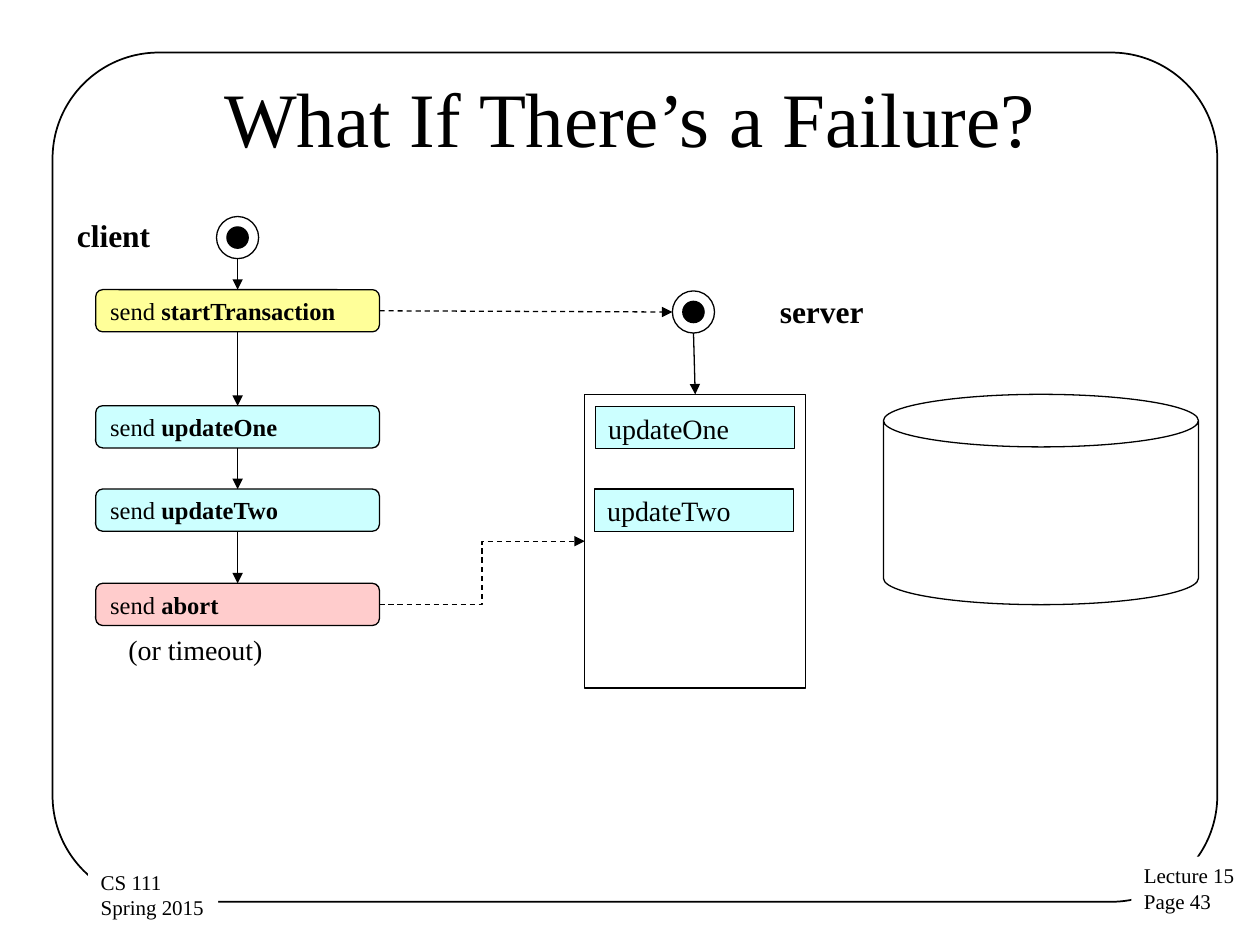
from itertools import pairwise

from lxml import etree
from pptx import Presentation
from pptx import util as u
from pptx.dml.color import RGBColor
from pptx.enum import dml, shapes, text
from pptx.oxml.ns import qn

COLORS = {
    "ink": "000000",
    "paper": "FFFFFF",
    "start": "FFFF99",
    "update": "CCFFFF",
    "abort": "FFCCCC",
}
SHAPE = shapes.MSO_SHAPE
TOP, LEFT, BOTTOM, RIGHT = range(4)


class Diagram:
    """Holds the style and the current slide."""

    font = "Times New Roman"
    ring_size = 0.85
    dot_size = 0.43

    def __init__(self, page):
        self.page = page

    def color(self, name):
        return RGBColor.from_string(COLORS[name])

    def fill_text(self, box, paragraphs, size, anchor, align=text.PP_ALIGN.LEFT, wrap=True):
        """Each paragraph is a list of (words, bold) spans."""
        frame = box.text_frame
        frame.word_wrap = wrap
        frame.vertical_anchor = anchor
        for index, spans in enumerate(paragraphs):
            para = frame.add_paragraph() if index else frame.paragraphs[0]
            para.alignment = align
            for words, bold in spans:
                span = para.add_run()
                span.text = words
                span.font.name = self.font
                span.font.size = u.Pt(size)
                span.font.bold = bold
                span.font.color.rgb = self.color("ink")

    def shape(self, kind, left, top, width, height, fill=None, line=0.75):
        box = self.page.shapes.add_shape(
            kind, u.Cm(left), u.Cm(top), u.Cm(width), u.Cm(height))
        box.shadow.inherit = False
        if fill:
            box.fill.solid()
            box.fill.fore_color.rgb = self.color(fill)
        else:
            box.fill.background()
        if line:
            box.line.color.rgb = self.color("ink")
            box.line.width = u.Pt(line)
        else:
            box.line.fill.background()
        return box

    def node(self, kind, left, top, width, fill, spans, size):
        box = self.shape(kind, left, top, width, 0.85, fill)
        self.fill_text(box, [spans], size, text.MSO_ANCHOR.MIDDLE)
        return box

    def label(self, left, top, width, height, words, size, bold=False, wrap=False):
        box = self.page.shapes.add_textbox(
            u.Cm(left), u.Cm(top), u.Cm(width), u.Cm(height))
        self.fill_text(box, [[(words, bold)]], size, text.MSO_ANCHOR.TOP, wrap=wrap)

    def title(self, words):
        box = self.page.shapes.add_textbox(
            u.Cm(1.27), u.Cm(0.76), u.Cm(22.86), u.Cm(3.18))
        self.fill_text(box, [[(words, False)]], 44, text.MSO_ANCHOR.MIDDLE,
                       text.PP_ALIGN.CENTER)

    def footer(self, left, top, width, lines):
        box = self.shape(SHAPE.RECTANGLE, left, top, width, 1.3, "paper", line=None)
        self.fill_text(box, [[(line, False)] for line in lines], 12,
                       text.MSO_ANCHOR.TOP, wrap=False)

    def entry_point(self, x, y):
        for size, fill in ((self.ring_size, None), (self.dot_size, "ink")):
            self.shape(SHAPE.OVAL, x - size / 2, y - size / 2, size, size, fill)

    def arrow(self, begin, end, dashed=False, bent=False):
        """Ends are either an (x, y) point or a (box, side) pair."""
        kind = shapes.MSO_CONNECTOR.ELBOW if bent else shapes.MSO_CONNECTOR.STRAIGHT
        joined = [not isinstance(tip[0], (int, float)) for tip in (begin, end)]
        points = [(0, 0) if join else tip for join, tip in zip(joined, (begin, end))]
        line = self.page.shapes.add_connector(
            kind, *(u.Cm(value) for point in points for value in point))
        if joined[0]:
            line.begin_connect(*begin)
        if joined[1]:
            line.end_connect(*end)
        line.line.color.rgb = self.color("ink")
        line.line.width = u.Pt(0.75)
        if dashed:
            line.line.dash_style = dml.MSO_LINE.DASH
        properties = line._element.spPr
        etree.SubElement(properties.find(qn("a:ln")), qn("a:tailEnd"), type="triangle")
        etree.SubElement(properties, qn("a:effectLst"))


def main():
    deck = Presentation()
    deck.slide_width, deck.slide_height = u.Cm(25.4), u.Cm(19.05)
    diagram = Diagram(deck.slides.add_slide(deck.slide_layouts[6]))

    # Page frame, footers and title
    frame = diagram.shape(SHAPE.ROUNDED_RECTANGLE, 1.06, 1.06, 23.48, 17.12, line=1)
    frame.adjustments[0] = 0.125
    diagram.footer(22.81, 17.27, 2.36, ["Lecture 15", "Page 43"])
    diagram.footer(1.78, 17.4, 2.62, ["CS 111", "Spring 2015"])
    diagram.title("What If There’s a Failure?")

    # Client steps
    client_x, client_y = 4.79, 4.79
    diagram.label(1.3, 4.24, 2.01, 1.02, "client", 18, bold=True)
    diagram.entry_point(client_x, client_y)
    steps = [
        diagram.node(SHAPE.ROUNDED_RECTANGLE, 1.93, top, 5.72, fill,
                     [("send ", False), (action, True)], 14)
        for top, fill, action in (
            (5.84, "start", "startTransaction"),
            (8.18, "update", "updateOne"),
            (9.86, "update", "updateTwo"),
            (11.76, "abort", "abort"),
        )
    ]
    diagram.label(2.34, 12.62, 4.88, 0.94, "(or timeout)", 16, wrap=True)

    # Server with its pending updates, and the storage
    server_x, server_y = 13.98, 6.29
    diagram.label(15.47, 5.77, 2.21, 1.02, "server", 18, bold=True)
    diagram.entry_point(server_x, server_y)
    server = diagram.shape(SHAPE.RECTANGLE, 11.79, 7.95, 4.45, 5.92)
    for left, top, action in ((12.01, 8.2, "updateOne"), (11.99, 9.86, "updateTwo")):
        diagram.node(SHAPE.RECTANGLE, left, top, 4.01, "update", [(action, False)], 16)
    diagram.shape(SHAPE.CAN, 17.81, 7.95, 6.35, 4.24)

    # Flow inside each side
    radius = diagram.ring_size / 2
    diagram.arrow((client_x, client_y + radius), (steps[0], TOP))
    for upper, lower in pairwise(steps):
        diagram.arrow((upper, BOTTOM), (lower, TOP))
    diagram.arrow((server_x, server_y + radius), (server, TOP))

    # Messages from client to server
    diagram.arrow((steps[0], RIGHT), (server_x - radius, server_y), dashed=True)
    diagram.arrow((steps[-1], RIGHT), (server, LEFT), dashed=True, bent=True)

    deck.save("out.pptx")


if __name__ == "__main__":
    main()
